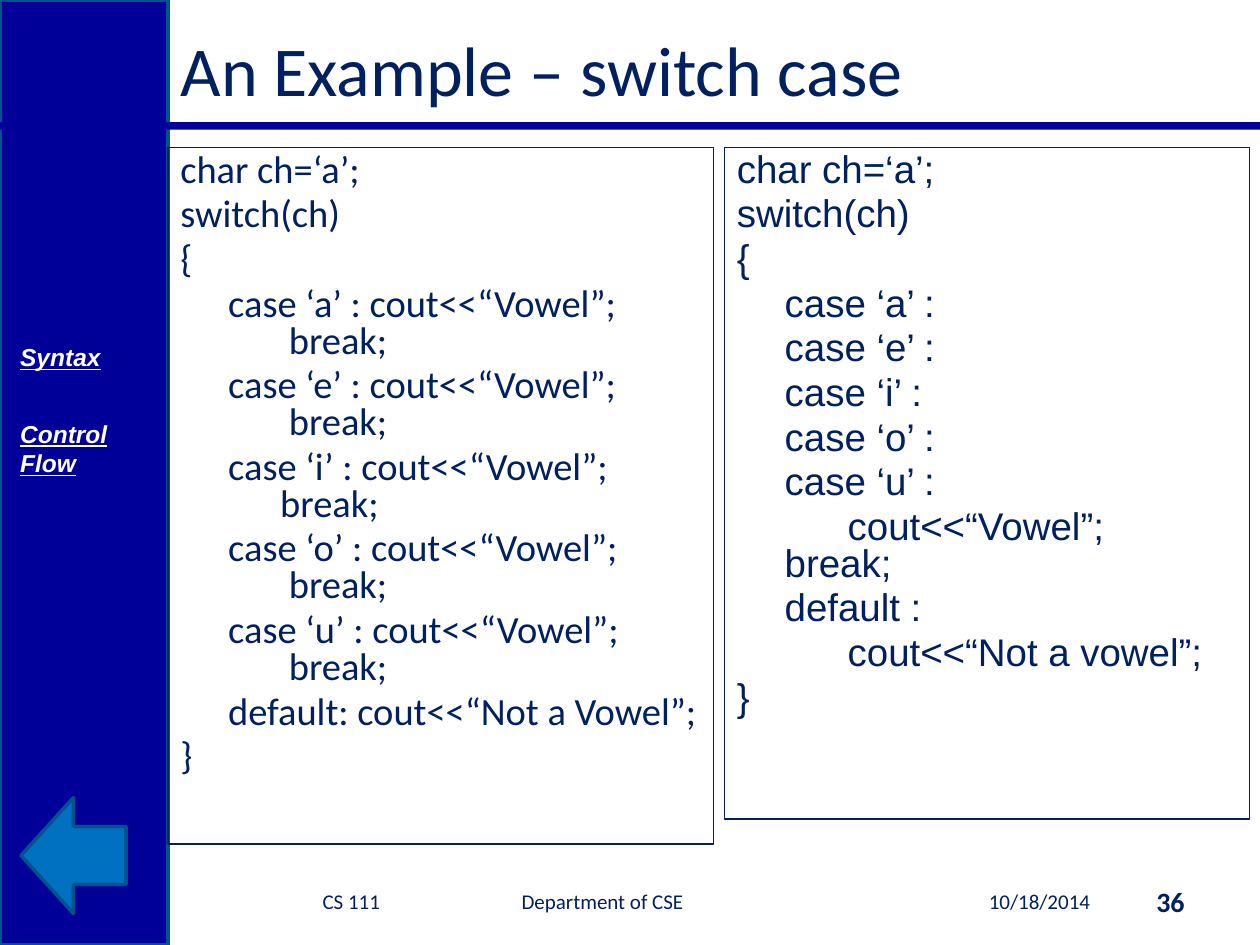
from pptx import Presentation, util as u
from pptx.dml.color import RGBColor
from pptx.enum import shapes, text
from pptx.oxml.ns import qn
from lxml import etree

NAVY = RGBColor(0x00, 0x20, 0x60)
INDIGO = RGBColor(0x00, 0x00, 0x99)
EDGE = RGBColor(0x00, 0x53, 0x8E)
BLUE = RGBColor(0x00, 0x70, 0xC0)
WHITE = RGBColor(0xFF, 0xFF, 0xFF)

WIDTH, HEIGHT = 10, 7.5
SIDEBAR = WIDTH * 2 / 15
CODE_TOP = 1.17
FOOTER_TOP, FOOTER_HEIGHT = 6.95, 0.4
HANG = 0.38

BREAK = "\t\t        break;"
SEPARATE_CASES = [
    "char ch=‘a’;", "switch(ch)", "{",
    "\tcase ‘a’ : cout<<“Vowel”; " + BREAK,
    "\tcase ‘e’ : cout<<“Vowel”; " + BREAK,
    "\tcase ‘i’ : cout<<“Vowel”; \t\t       break;",
    "\tcase ‘o’ : cout<<“Vowel”;   " + BREAK,
    "\tcase ‘u’ : cout<<“Vowel”;  \t  \t        break;",
    "\tdefault: cout<<“Not a Vowel”;", "}",
]
SHARED_CASES = [
    "char ch=‘a’;", "switch(ch)", "{",
    *[f"\tcase ‘{vowel}’ :" for vowel in "aeiou"],
    "\t\tcout<<“Vowel”; \tbreak;", "\tdefault :",
    "\t\tcout<<“Not a vowel”;", "}",
]


def inches(box):
    return [u.Inches(length) for length in box]


def write(frame, lines, size, font="Calibri", color=NAVY, bold=False, italic=False,
          underline=False, align=text.PP_ALIGN.LEFT, anchor=text.MSO_ANCHOR.TOP,
          gap=0, spacing=None, hang=0, tab=None):
    """Fill a text frame, one paragraph per line; gap is in points, hang and tab in inches."""
    frame.word_wrap = True
    frame.vertical_anchor = anchor
    for i, line in enumerate(lines):
        paragraph = frame.add_paragraph() if i else frame.paragraphs[0]
        properties = paragraph._p.get_or_add_pPr()
        if hang:
            properties.set("marL", str(u.Inches(hang)))
            properties.set("indent", str(-u.Inches(hang)))
        if tab:
            stops = etree.SubElement(properties, qn("a:tabLst"))
            etree.SubElement(stops, qn("a:tab"), pos=str(u.Inches(tab)), algn="l")
        paragraph.alignment = align
        if spacing:
            paragraph.line_spacing = spacing
        if i and gap:
            paragraph.space_before = u.Pt(gap)
        run = paragraph.add_run()
        run.text = line
        run.font.name, run.font.size = font, u.Pt(size)
        run.font.bold, run.font.italic, run.font.underline = bold, italic, underline
        run.font.color.rgb = color


def add_text(slide, box, lines, size, **style):
    label = slide.shapes.add_textbox(*inches(box))
    write(label.text_frame, lines, size, **style)
    return label


def add_block(slide, kind, box, fill, edge=None):
    block = slide.shapes.add_shape(kind, *inches(box))
    block.shadow.inherit = False
    block.fill.solid()
    block.fill.fore_color.rgb = fill
    if edge:
        block.line.color.rgb = edge
        block.line.width = u.Pt(2)
    else:
        block.line.fill.background()


def add_sidebar(slide, left, top, width, height):
    add_block(slide, shapes.MSO_SHAPE.RECTANGLE, (left, top, width, height), INDIGO, EDGE)
    add_block(slide, shapes.MSO_SHAPE.LEFT_ARROW,
              (left + width / 8, top + height - 1.17, width * 5 / 8, 0.92), BLUE, EDGE)
    links = add_text(slide, (left, top + height * 0.35, width + 0.09, 1.54),
                     ["Syntax", "Control Flow"], 14, font="Arial", color=WHITE,
                     bold=True, italic=True, underline=True, gap=27)
    links.text_frame.margin_left = u.Inches(0.16)
    links.text_frame.margin_top = u.Inches(0.09)


def add_heading(slide, left, top, width, height):
    title = slide.shapes.title
    title.left, title.top, title.width, title.height = inches((left, top, width, height))
    write(title.text_frame, ["An Example – switch case"], 40,
          anchor=text.MSO_ANCHOR.MIDDLE)
    add_block(slide, shapes.MSO_SHAPE.RECTANGLE, (0, top + height + 0.05, WIDTH, 0.06), INDIGO)


def add_code(slide, box, lines, font):
    panel = add_text(slide, box, lines, 22, font=font, gap=4.4, spacing=0.8, hang=HANG)
    panel.line.color.rgb = NAVY
    panel.line.width = u.Pt(0.75)


def add_footer(slide, top, height):
    middle = text.MSO_ANCHOR.MIDDLE
    right = text.PP_ALIGN.RIGHT
    course = add_text(slide, (1.42, top, 5.17, height), ["CS 111\tDepartment of CSE"], 12,
                      anchor=middle, tab=1.58)
    course.text_frame.margin_left = u.Inches(1.14)
    add_text(slide, (7, top, 1.75, height), ["10/18/2014"], 12, align=right, anchor=middle)
    add_text(slide, (8.75, top, 0.75, height), ["36"], 16, bold=True, align=right,
             anchor=middle)


def main():
    deck = Presentation()
    deck.slide_width, deck.slide_height = inches((WIDTH, HEIGHT))
    slide = deck.slides.add_slide(deck.slide_layouts[5])
    add_sidebar(slide, 0, 0, SIDEBAR, HEIGHT)
    add_heading(slide, SIDEBAR, 0.17, 7.83, 0.75)
    add_code(slide, (SIDEBAR, CODE_TOP, 4.33, 5.53), SEPARATE_CASES, "Calibri")
    add_code(slide, (5.75, CODE_TOP, 4.17, 5.33), SHARED_CASES, "Arial")
    add_footer(slide, FOOTER_TOP, FOOTER_HEIGHT)
    deck.save("out.pptx")


if __name__ == "__main__":
    main()
